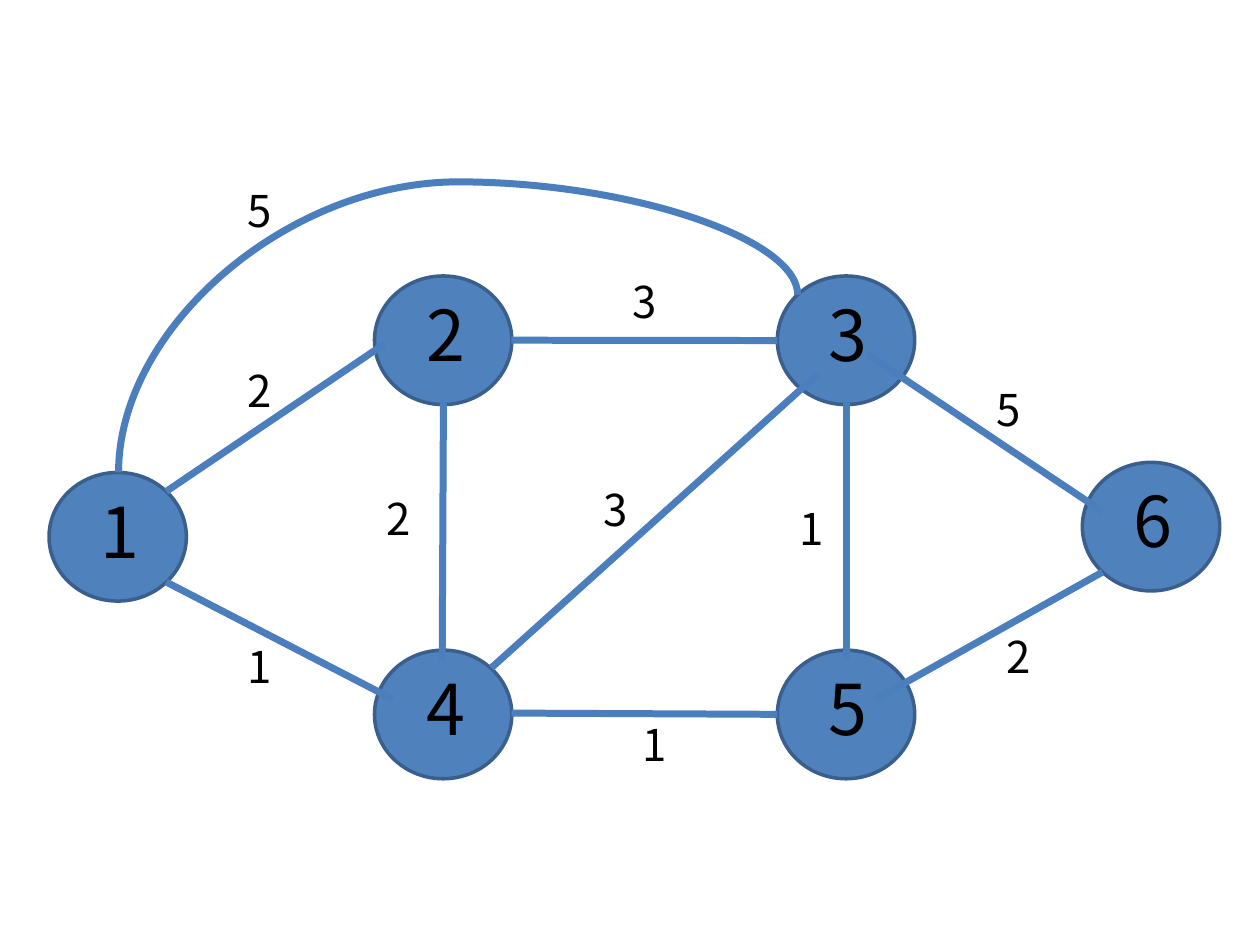
from pptx import Presentation
from pptx.dml.color import RGBColor
from pptx.enum import shapes, text
from pptx.oxml import ns
from pptx.util import Pt
from lxml import etree

FONT = "Noto Sans CJK KR"
NODE_W, NODE_H = 78.5, 73.5
COLS = {"1": 0, "2": 186, "4": 186, "3": 416.2, "5": 416.2, "6": 590.5}
ROWS = {"1": 169, "2": 56.7, "3": 56.7, "4": 270.5, "5": 270.5, "6": 163.2}
EDGES = [
    (191.6, 95.6, 67, 179.8, "2", 106.6, 103.5),
    (264.3, 93.4, 416.2, 93.6, "3", 326.2, 52.4),
    (67, 231.6, 196.6, 298.6, "1", 106.6, 261.2),
    (252.8, 280.6, 439.3, 112.8, "3", 309.7, 171.2),
    (264.3, 306.5, 416.2, 307.2, "1", 332, 305.8),
    (225.4, 129.4, 224.7, 276.3, "2", 185.8, 176.2),
    (455.8, 129.4, 455.8, 276.3, "1", 422, 182),
    (467.4, 101.3, 602, 191.3, "5", 534.3, 114.3),
    (472.4, 298.6, 602, 225.9, "2", 540, 255.4),
]


def rgb(value):
    """Return the colour for a hex string."""
    return RGBColor.from_string(value)


def add_label(s, x, y, w, h, label, size):
    """Add a number in a text box."""
    tf = s.shapes.add_textbox(Pt(x), Pt(y), Pt(w), Pt(h)).text_frame
    tf.word_wrap = True
    tf.auto_size = text.MSO_AUTO_SIZE.SHAPE_TO_FIT_TEXT
    p = tf.paragraphs[0]
    p.text = label
    p.font.name, p.font.size = FONT, Pt(size)
    p.font.color.rgb = rgb("000000")


def add_node(s, x, y, label):
    """Add a numbered ellipse with its top left corner at x, y."""
    sp = s.shapes.add_shape(shapes.MSO_SHAPE.OVAL, Pt(x), Pt(y), Pt(NODE_W), Pt(NODE_H))
    sp.shadow.inherit = False
    sp.fill.solid()
    sp.fill.fore_color.rgb = rgb("4F81BD")
    sp.line.color.rgb = rgb("3A5F8C")
    sp.line.width = Pt(2)
    add_label(s, x + 22.4, y + 5.4, 33.8, 55.4, label, 40)


def add_edge(s, kind, x1, y1, x2, y2):
    """Add a connector between two points and return it."""
    cxn = s.shapes.add_connector(kind, Pt(x1), Pt(y1), Pt(x2), Pt(y2))
    cxn.line.color.rgb = rgb("4B7EBC")
    cxn.line.width = Pt(4)
    etree.SubElement(cxn._element.spPr, ns.qn("a:effectLst"))
    return cxn


def add_arc(s, x1, y1, x2, y2, bend):
    """Add a curve that leaves and enters its two points from above."""
    cx, cy = (x1 + x2) / 2, (y1 + y2) / 2
    dx, dy = (y1 - y2) / 2, (x2 - x1) / 2
    cxn = add_edge(s, shapes.MSO_CONNECTOR.CURVE, cx + dx, cy + dy, cx - dx, cy - dy)
    spPr = cxn._element.spPr
    spPr.find(ns.qn("a:xfrm")).set("rot", str(90 * 60000))
    avLst = spPr.find(ns.qn("a:prstGeom")).get_or_add_avLst()
    etree.SubElement(avLst, ns.qn("a:gd"), name="adj1", fmla=f"val {round(bend * 100000)}")


def add_graph(s, x, y):
    """Draw the weighted graph with its top left corner at x, y."""
    for label, col in COLS.items():
        add_node(s, x + col, y + ROWS[label], label)
    for x1, y1, x2, y2, *_ in EDGES:
        add_edge(s, shapes.MSO_CONNECTOR.STRAIGHT, x + x1, y + y1, x + x2, y + y2)
    add_arc(s, x + 39.7, y + 169, x + 427.8, y + 67.5, 1.636)
    weights = [("5", 106.6, 0.5)] + [edge[4:] for edge in EDGES]
    for weight, left, top in weights:
        add_label(s, x + left, y + top, 39.6, 37.4, weight, 25)


prs = Presentation()
prs.slide_width, prs.slide_height = Pt(720), Pt(540)
s = prs.slides.add_slide(prs.slide_layouts[6])
add_graph(s, 28, 101)
prs.save("out.pptx")
